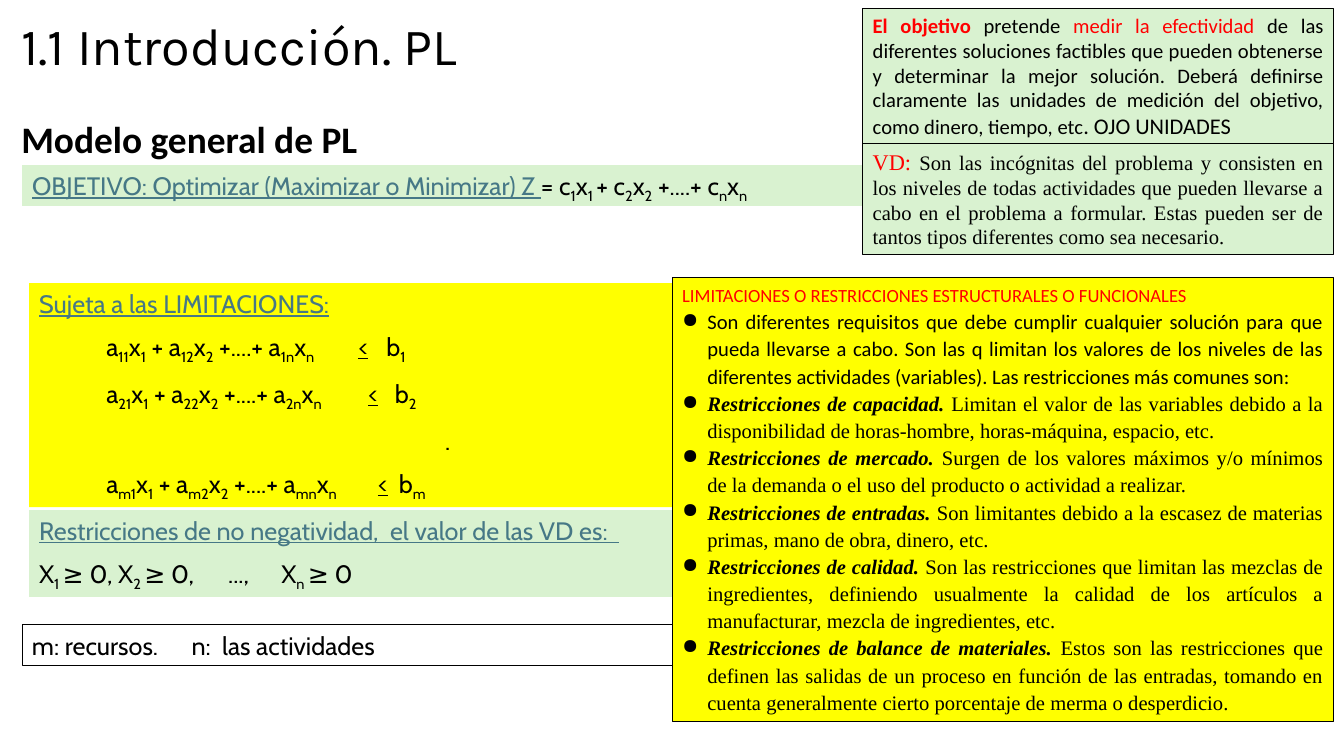
from lxml import etree
from pptx import Presentation
from pptx import util as u
from pptx.dml.color import RGBColor
from pptx.enum import shapes, text
from pptx.oxml import ns

COLORS = {"ink": "000000", "accent": "FF0000", "heading": "467886",
          "mint": "D9F2D0", "yellow": "FFFF00"}
CABIN, CALIBRI, TIMES = "Cabin", "Calibri", "Times New Roman"
BODY = 14.7


def rgb(name):
    return RGBColor.from_string(COLORS[name])


def write(paragraph, content, size=18, font=CABIN, color="ink",
          bold=False, italic=False, underline=False):
    """Add runs to the paragraph; pieces between underscores become subscripts."""
    for index, piece in enumerate(content.split("_")):
        if not piece:
            continue
        run = paragraph.add_run()
        run.text = piece
        run.font.size = u.Pt(size)
        run.font.name = font
        run.font.color.rgb = rgb(color)
        run.font.bold, run.font.italic, run.font.underline = bold, italic, underline
        if index % 2:
            run._r.get_or_add_rPr().set("baseline", "-25000")


def set_tabs(paragraph, stops):
    tab_list = etree.SubElement(paragraph._p.get_or_add_pPr(), ns.qn("a:tabLst"))
    for stop in stops:
        etree.SubElement(tab_list, ns.qn("a:tab"), pos=str(u.Pt(stop)), algn="l")


def set_bullet(paragraph, indent=18):
    properties = paragraph._p.get_or_add_pPr()
    properties.set("marL", str(u.Pt(indent)))
    properties.set("indent", str(-u.Pt(indent)))
    etree.SubElement(properties, ns.qn("a:buChar"), char="●")


class SlideBuilder:
    def __init__(self, presentation):
        self.slide = presentation.slides.add_slide(presentation.slide_layouts[5])

    def place(self, shape, left, top, width, height):
        shape.left, shape.top = u.Pt(left), u.Pt(top)
        shape.width, shape.height = u.Pt(width), u.Pt(height)

    def title(self, content, area, **style):
        title = self.slide.shapes.title
        self.place(title, *area)
        frame = title.text_frame
        frame.auto_size = text.MSO_AUTO_SIZE.NONE
        frame.vertical_anchor = text.MSO_ANCHOR.MIDDLE
        paragraph = frame.paragraphs[0]
        paragraph.alignment = text.PP_ALIGN.LEFT
        paragraph.line_spacing = 0.9
        write(paragraph, content, **style)

    def label(self, content, area, **style):
        label = self.slide.shapes.add_textbox(*map(u.Pt, area))
        label.text_frame.word_wrap = True
        write(label.text_frame.paragraphs[0], content, **style)

    def panel(self, area, paragraphs, fill=None, outlined=False, gap=0,
              line_spacing=None, bullets_from=None):
        """Draw a box; each paragraph is (runs, tab stops), each run (text, format)."""
        box = self.slide.shapes.add_shape(shapes.MSO_SHAPE.RECTANGLE, *map(u.Pt, area))
        box.shadow.inherit = False
        if fill:
            box.fill.solid()
            box.fill.fore_color.rgb = rgb(fill)
        else:
            box.fill.background()
        if outlined:
            box.line.color.rgb = rgb("ink")
            box.line.width = u.Pt(0.75)
        else:
            box.line.fill.background()
        frame = box.text_frame
        frame.word_wrap = True
        frame.auto_size = text.MSO_AUTO_SIZE.SHAPE_TO_FIT_TEXT
        frame.vertical_anchor = text.MSO_ANCHOR.TOP
        for index, (runs, stops) in enumerate(paragraphs):
            paragraph = frame.add_paragraph() if index else frame.paragraphs[0]
            paragraph.alignment = text.PP_ALIGN.LEFT if stops else text.PP_ALIGN.JUSTIFY
            if line_spacing:
                paragraph.line_spacing = line_spacing
            if index and gap:
                paragraph.space_before = u.Pt(gap)
            if bullets_from is not None and index >= bullets_from:
                set_bullet(paragraph)
            if stops:
                set_tabs(paragraph, stops)
            for content, style in runs:
                write(paragraph, content, **style)


def constraint(row, sign_stop, bound_stop):
    terms = f"\ta_{row}1_x_1_ + a_{row}2_x_2_ +....+ a_{row}n_x_n_\t"
    return ([(terms, {}), ("<", {"underline": True}), (f"\tb_{row}_", {})],
            [48, sign_stop, bound_stop])


def main():
    presentation = Presentation()
    presentation.slide_width, presentation.slide_height = u.Pt(960), u.Pt(540)
    builder = SlideBuilder(presentation)
    heading = {"color": "heading", "underline": True}
    calibri = {"font": CALIBRI, "size": BODY}
    times = {"font": TIMES, "size": BODY}
    red = {"color": "accent"}

    builder.title("Modelo general de PL", (8, 75.6, 352, 50.4),
                  size=26.7, font=CALIBRI, bold=True)
    builder.panel((15.8, 118, 603.4, 29), [
        ([("OBJETIVO: Optimizar (Maximizar o Minimizar) Z ", heading),
          ("= c_1_x_1 _+ c_2_x_2_ +....+ c_n_x_n_", {})], None)], fill="mint")
    builder.label("1.1 Introducción. PL", (8, 5.8, 535.7, 52.6), size=37.3, font="Karla")

    builder.panel((20.9, 202.3, 539.3, 160), [
        ([("Sujeta a las LIMITACIONES:", heading)], None),
        constraint("1", 228, 248),
        constraint("2", 235, 254),
        ([("\t.", {})], [290]),
        constraint("m", 242, 257)], fill="yellow", gap=9)
    builder.panel((20.9, 364.3, 539.3, 62), [
        ([("Restricciones de no negatividad,  el valor de las VD es:  ", heading)], None),
        ([("X_1 _≥ 0, X_2 _≥ 0,\t...,\tX_n _≥ 0", {})], [135, 173])],
        fill="mint", gap=9)
    builder.panel((15.8, 446.4, 496, 29), [
        ([("m: recursos.\tn:  las actividades", {})], [114])], outlined=True)

    builder.panel((616.3, 5.8, 336.2, 98), [
        ([("El objetivo ", {**calibri, **red, "bold": True}),
          ("pretende ", calibri),
          ("medir la efectividad ", {**calibri, **red}),
          ("de las diferentes soluciones factibles que pueden obtenerse y determinar "
           "la mejor solución. Deberá definirse claramente las unidades de medición "
           "del objetivo, como dinero, tiempo, etc", calibri),
          (". OJO UNIDADES", {**calibri, "size": 16})], None)],
        fill="mint", outlined=True)
    builder.panel((616.3, 102.2, 336.2, 80), [
        ([("VD: ", {**times, **red, "size": 16}),
          ("Son las incógnitas del problema y consisten en los niveles de todas "
           "actividades que pueden llevarse a cabo en el problema a formular. Estas "
           "pueden ser de tantos tipos diferentes como sea necesario.", times)], None)],
        fill="mint", outlined=True)

    kinds = [
        ("capacidad.", "Limitan el valor de las variables debido a la disponibilidad de "
         "horas-hombre, horas-máquina, espacio, etc."),
        ("mercado.", "Surgen de los valores máximos y/o mínimos de la demanda o el uso "
         "del producto o actividad a realizar."),
        ("entradas.", "Son limitantes debido a la escasez de materias primas, mano de "
         "obra, dinero, etc."),
        ("calidad.", "Son las restricciones que limitan las mezclas de ingredientes, "
         "definiendo usualmente la calidad de los artículos a manufacturar, mezcla de "
         "ingredientes, etc."),
        ("balance de materiales.", "Estos son las restricciones que definen las salidas "
         "de un proceso en función de las entradas, tomando en cuenta generalmente "
         "cierto porcentaje de merma o desperdicio."),
    ]
    restrictions = [
        ([("LIMITACIONES O RESTRICCIONES ESTRUCTURALES O FUNCIONALES",
           {**calibri, **red, "size": 13.3})], None),
        ([("Son diferentes requisitos que debe cumplir cualquier solución para que pueda "
           "llevarse a cabo. Son las q limitan los valores de los niveles de las "
           "diferentes actividades (variables). Las restricciones más comunes son:",
           calibri)], None),
    ]
    for kind, meaning in kinds:
        restrictions.append(
            ([(f"Restricciones de {kind} ", {**times, "bold": True, "italic": True}),
              (meaning, times)], None))
    builder.panel((480.2, 198, 472.3, 317.5), restrictions, fill="yellow",
                  outlined=True, line_spacing=1.1, bullets_from=1)

    presentation.save("out.pptx")


if __name__ == "__main__":
    main()
